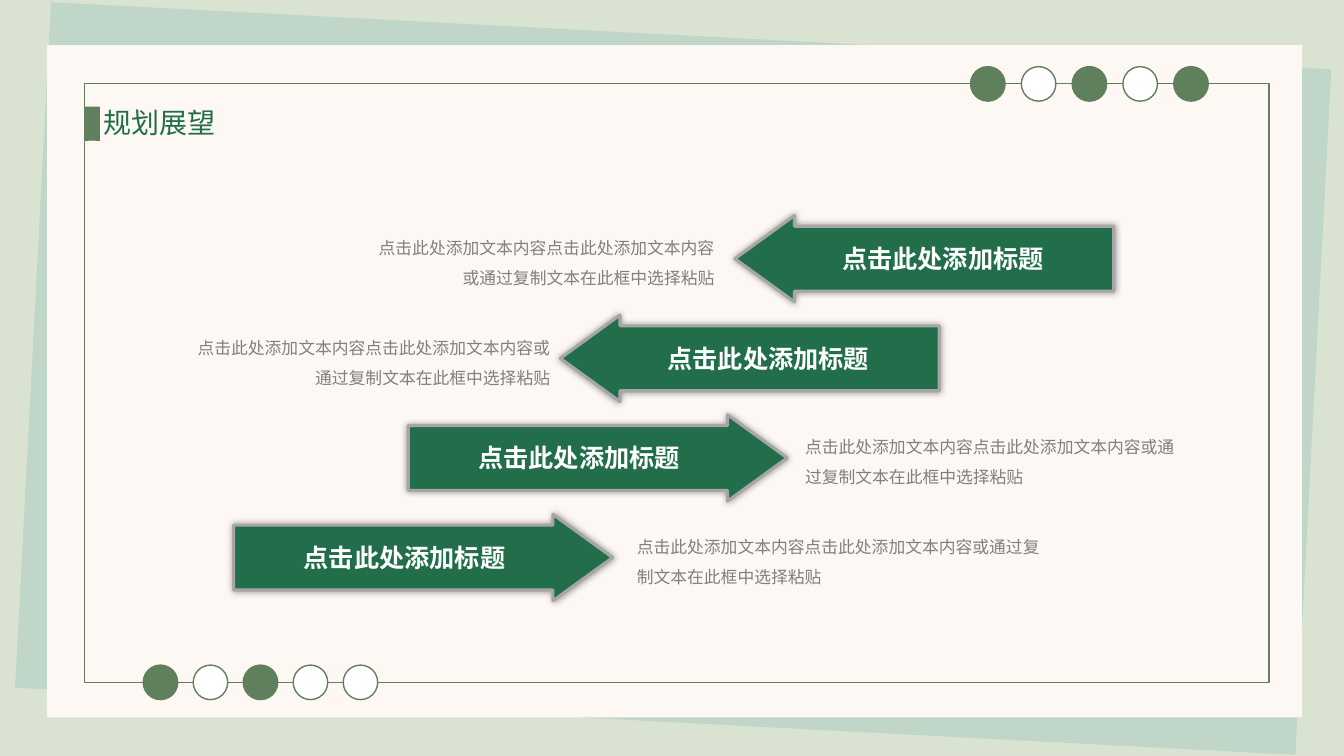
from lxml.etree import SubElement
from pptx import Presentation
from pptx.dml.color import RGBColor
from pptx.enum.shapes import MSO_SHAPE
from pptx.enum.text import MSO_ANCHOR, MSO_AUTO_SIZE, PP_ALIGN
from pptx.oxml.ns import qn
from pptx.util import Cm, Pt

TITLE = "规划展望"
LABEL = "点击此处添加标题"
BODY = "点击此处添加文本内容点击此处添加文本内容或通过复制文本在此框中选择粘贴"

# direction, arrow left, body left, body width (cm), from top to bottom
ARROWS = [
    ("left", 18.52, 8.94, 9.32),
    ("left", 14.12, 4.39, 9.73),
    ("right", 10.29, 20.04, 9.83),
    ("right", 5.89, 15.8, 10.92),
]
ARROW_TOP, ARROW_STEP = 5.43, 2.51
ARROW_WIDTH, ARROW_HEIGHT = 9.55, 2.18
LABEL_WIDTH, LABEL_HEIGHT = 8.61, 1.02

MOSS, GREEN, WHITE = "60805D", "226E4B", "FFFFFF"
GREY, SILVER = "808080", "A6A6A6"
FONT = "Calibri"

# left, top, step (cm), fills from left to right
DOT_ROWS = [
    (24.46, 1.68, 1.28, [MOSS, WHITE, MOSS, WHITE, MOSS]),
    (3.61, 16.76, 1.26, [MOSS, WHITE, MOSS, WHITE, WHITE]),
]
DOT_SIZE = 0.87


def color(code):
    return RGBColor.from_string(code)


def add_box(page, kind, left, top, width, height, fill=None, line=None, weight=1):
    box = page.shapes.add_shape(kind, Cm(left), Cm(top), Cm(width), Cm(height))
    box.shadow.inherit = False
    if fill:
        box.fill.solid()
        box.fill.fore_color.rgb = color(fill)
    else:
        box.fill.background()
    if line:
        box.line.color.rgb = color(line)
        box.line.width = Pt(weight)
    else:
        box.line.fill.background()
    return box


def add_glow_shadow(box):
    """Give the box a soft black shadow with no offset."""
    effects = box.element.spPr.find(qn("a:effectLst"))
    shadow = SubElement(effects, qn("a:outerShdw"), blurRad=str(Pt(5)),
                        dist="0", dir="0", algn="ctr", rotWithShape="0")
    black = SubElement(shadow, qn("a:srgbClr"), val="000000")
    SubElement(black, qn("a:alpha"), val="40000")


def write(box, text, size, code, align, bold=False, spacing=None):
    frame = box.text_frame
    frame.word_wrap = True
    frame.auto_size = MSO_AUTO_SIZE.NONE
    frame.vertical_anchor = MSO_ANCHOR.TOP
    para = frame.paragraphs[0]
    para.alignment = align
    if spacing:
        para.line_spacing = spacing
    span = para.add_run()
    span.text = text
    span.font.name = FONT
    span.font.size = Pt(size)
    span.font.bold = bold
    span.font.color.rgb = color(code)


def add_text(page, left, top, width, height, *style, **options):
    box = page.shapes.add_textbox(Cm(left), Cm(top), Cm(width), Cm(height))
    write(box, *style, **options)


def add_background(page):
    page.background.fill.solid()
    page.background.fill.fore_color.rgb = color("DAE3D2")
    sheet = add_box(page, MSO_SHAPE.RECTANGLE, 0.81, 0.89, 32.31, 17.3, "C0D6C9")
    sheet.rotation = 3
    add_box(page, MSO_SHAPE.RECTANGLE, 1.19, 1.14, 31.62, 16.94, "FDF8F4")
    add_box(page, MSO_SHAPE.RECTANGLE, 2.13, 2.11, 29.85, 15.09, line=MOSS)
    for left, top, step, fills in DOT_ROWS:
        for index, fill in enumerate(fills):
            add_box(page, MSO_SHAPE.OVAL, left + index * step, top,
                    DOT_SIZE, DOT_SIZE, fill, MOSS)


def add_title(page):
    title = page.shapes.title
    title.left, title.top = Cm(2.36), Cm(2.54)
    title.width, title.height = Cm(4.32), Cm(1.12)
    write(title, TITLE, 20, GREEN, PP_ALIGN.LEFT)
    # the placeholder starts at the back, so bring it in front of the card
    title.element.getparent().append(title.element)
    add_box(page, MSO_SHAPE.RECTANGLE, 2.13, 2.69, 0.38, 0.84, MOSS, MOSS, 0.25)


def add_arrow(page, top, direction, left, body_left, body_width):
    if direction == "left":
        kind, align = MSO_SHAPE.LEFT_ARROW, PP_ALIGN.RIGHT
        label_left = left + ARROW_WIDTH - LABEL_WIDTH
    else:
        kind, align = MSO_SHAPE.RIGHT_ARROW, PP_ALIGN.LEFT
        label_left = left
    arrow = add_box(page, kind, left, top, ARROW_WIDTH, ARROW_HEIGHT,
                    GREEN, SILVER, 2.25)
    arrow.adjustments[0], arrow.adjustments[1] = 0.75, 0.69
    add_glow_shadow(arrow)
    label_top = top + (ARROW_HEIGHT - LABEL_HEIGHT) / 2
    add_text(page, label_left, label_top, LABEL_WIDTH, LABEL_HEIGHT,
             LABEL, 18, WHITE, PP_ALIGN.CENTER, bold=True)
    add_text(page, body_left, top + 0.18, body_width, 1.7,
             BODY, 12, GREY, align, spacing=1.5)


def main():
    deck = Presentation()
    deck.slide_width, deck.slide_height = Cm(33.87), Cm(19.05)
    page = deck.slides.add_slide(deck.slide_layouts[5])
    add_background(page)
    add_title(page)
    for index, arrow in enumerate(ARROWS):
        add_arrow(page, ARROW_TOP + index * ARROW_STEP, *arrow)
    deck.save("out.pptx")


if __name__ == "__main__":
    main()
